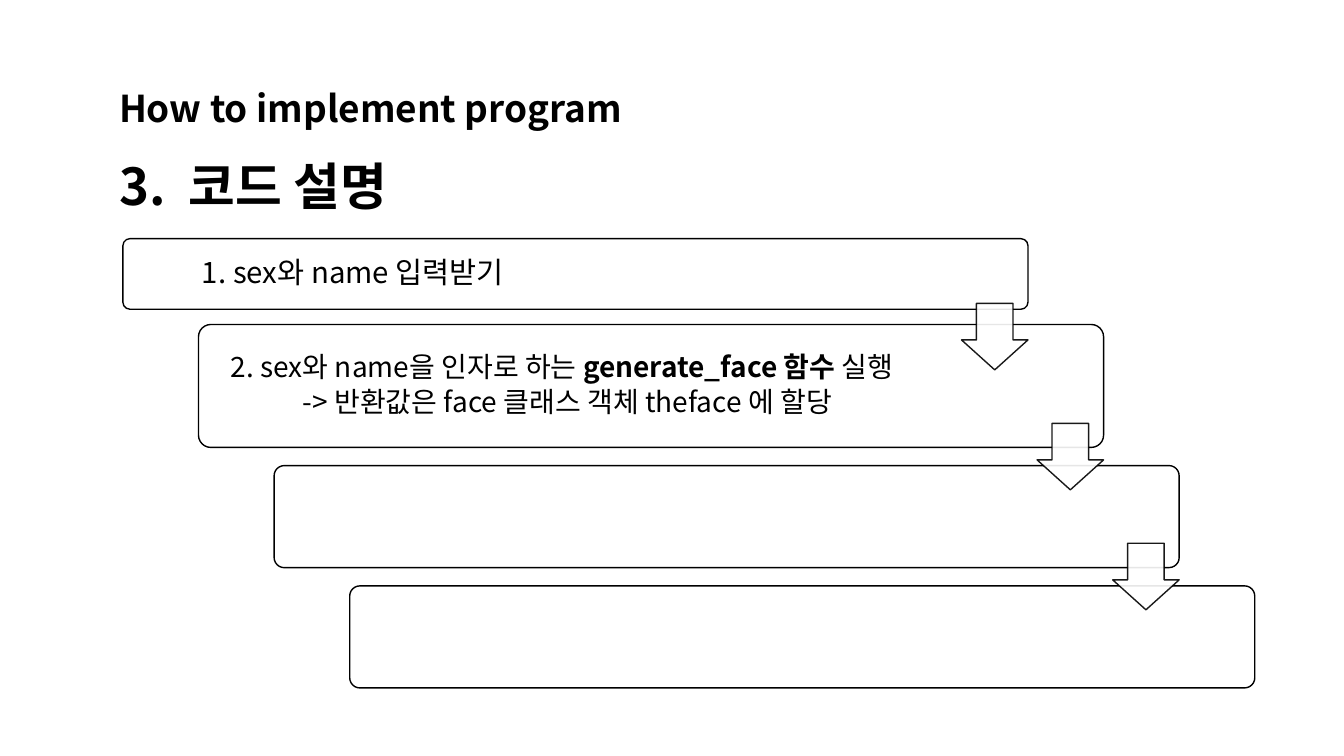
"""Build a slide of four staggered step boxes joined by down arrows."""
from dataclasses import dataclass
from typing import Any

from lxml import etree
from pptx import Presentation
from pptx import util as u
from pptx.dml import color
from pptx.enum import shapes, text
from pptx.oxml import ns


@dataclass(frozen=True)
class Theme:
    font: str = "Noto Sans CJK KR"
    ink: color.RGBColor = color.RGBColor(0, 0, 0)
    paper: color.RGBColor = color.RGBColor(255, 255, 255)
    kicker: float = 26.4
    title: float = 36.3
    step: float = 21
    detail: float = 20
    line: float = 1
    arrow_alpha: int = 90000


@dataclass(frozen=True)
class Span:
    words: str
    bold: bool = False


@dataclass(frozen=True)
class Line:
    spans: tuple[Span, ...]
    size: float
    indent: float = 0


@dataclass(frozen=True)
class Step:
    top: float
    height: float
    inset: float = 0
    lines: tuple[Line, ...] = ()


THEME = Theme()
BOX_LEFT, BOX_WIDTH, BOX_SHIFT = 87.8, 646.5, 54
ARROW_SIZE, ARROW_TOP, ARROW_DROP = 47.5, 216.7, 85.7

TITLE = (
    Line((Span("How to implement program", True),), THEME.kicker),
    Line((Span("3.  코드 설명", True),), THEME.title),
)
STEPS = (
    Step(170.5, 50.4, 55, (Line((Span("1. sex와 name 입력받기"),), THEME.step),)),
    Step(231.8, 87.8, 20.5, (
        Line((Span("2. sex와 name을 인자로 하는 "),
              Span("generate_face 함수", True),
              Span(" 실행")), THEME.detail),
        Line((Span("-> 반환값은 face 클래스 객체 theface 에 할당"),), THEME.detail, 51.4),
    )),
    Step(332.6, 72.9),
    Step(418.5, 72.9),
)


def write_lines(tf: Any, lines: tuple[Line, ...], spacing: float, after: float) -> None:
    tf.word_wrap = True
    tf.auto_size = text.MSO_AUTO_SIZE.NONE
    tf.vertical_anchor = text.MSO_ANCHOR.MIDDLE
    for i, line in enumerate(lines):
        p = tf.add_paragraph() if i else tf.paragraphs[0]
        p.alignment = text.PP_ALIGN.LEFT
        p.line_spacing = spacing
        p.space_after = u.Pt(after)
        if line.indent:
            p._p.get_or_add_pPr().set("marL", str(u.Pt(line.indent)))
        for span in line.spans:
            r = p.add_run()
            r.text = span.words
            r.font.name = THEME.font
            r.font.size = u.Pt(line.size)
            r.font.bold = span.bold
            r.font.color.rgb = THEME.ink
            ea = etree.SubElement(r._r.get_or_add_rPr(), ns.qn("a:ea"))
            ea.set("typeface", THEME.font)


def add_outlined(s: Any, kind: shapes.MSO_SHAPE, left: float, top: float,
                 width: float, height: float, *adjustments: float) -> Any:
    sp = s.shapes.add_shape(kind, u.Pt(left), u.Pt(top), u.Pt(width), u.Pt(height))
    for i, value in enumerate(adjustments):
        sp.adjustments[i] = value
    sp.shadow.inherit = False
    sp.fill.solid()
    sp.fill.fore_color.rgb = THEME.paper
    sp.line.color.rgb = THEME.ink
    sp.line.width = u.Pt(THEME.line)
    return sp


def add_step(s: Any, index: int, step: Step) -> None:
    sp = add_outlined(s, shapes.MSO_SHAPE.ROUNDED_RECTANGLE,
                      BOX_LEFT + index * BOX_SHIFT, step.top, BOX_WIDTH, step.height, 0.1)
    if step.lines:
        tf = sp.text_frame
        tf.margin_left = u.Pt(step.inset)
        write_lines(tf, step.lines, 0.9, 3)


def add_arrow(s: Any, index: int) -> None:
    left = BOX_LEFT + BOX_WIDTH - ARROW_SIZE + index * BOX_SHIFT
    sp = add_outlined(s, shapes.MSO_SHAPE.DOWN_ARROW, left, ARROW_TOP + index * ARROW_DROP,
                      ARROW_SIZE, ARROW_SIZE, 0.55, 0.45)
    for rgb in sp._element.spPr.iter(ns.qn("a:srgbClr")):
        etree.SubElement(rgb, ns.qn("a:alpha")).set("val", str(THEME.arrow_alpha))


def main() -> None:
    prs = Presentation()
    prs.slide_width, prs.slide_height = u.Pt(960), u.Pt(540)
    s = prs.slides.add_slide(prs.slide_layouts[5])
    title = s.shapes.title
    title.left, title.top = u.Pt(77.8), u.Pt(49)
    title.width, title.height = u.Pt(828), u.Pt(104.4)
    write_lines(title.text_frame, TITLE, 1.4, 0)
    for i, step in enumerate(STEPS):
        add_step(s, i, step)
    for i in range(len(STEPS) - 1):
        add_arrow(s, i)
    prs.save("out.pptx")


if __name__ == "__main__":
    main()
